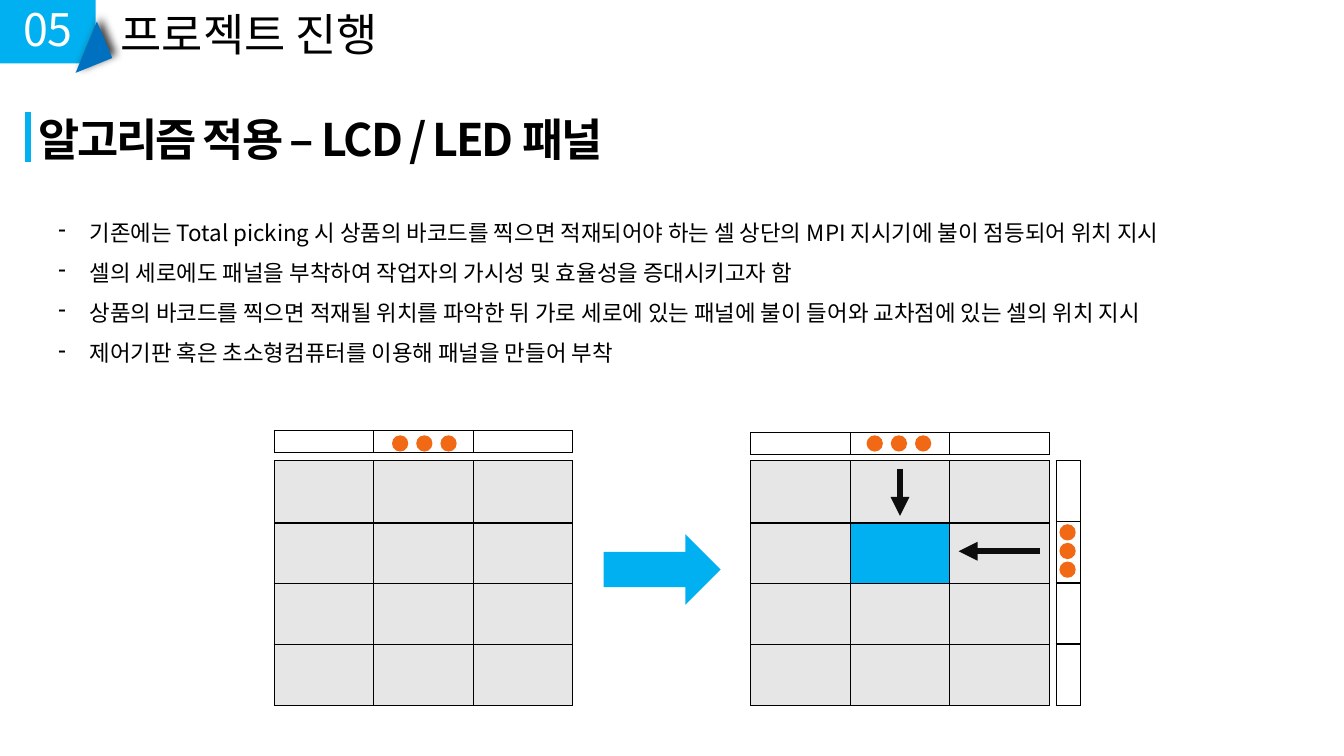
from lxml.etree import SubElement
from pptx import Presentation
from pptx.dml.color import RGBColor
from pptx.enum.shapes import MSO_CONNECTOR, MSO_SHAPE
from pptx.enum.text import MSO_ANCHOR, MSO_AUTO_SIZE, PP_ALIGN
from pptx.oxml.ns import qn
from pptx.util import Cm, Pt

FONT = "Noto Sans CJK KR"
COLORS = {
    "sky": "00B0F0", "blue": "0070C0", "orange": "F16915", "cell": "E7E6E6",
    "black": "000000", "arrow": "0D0D0D", "white": "FFFFFF", "shadow": "404040",
}
BULLETS = [
    "기존에는 Total picking 시 상품의 바코드를 찍으면 적재되어야 하는 셀 상단의 MPI 지시기에 불이 점등되어 위치 지시",
    "셀의 세로에도 패널을 부착하여 작업자의 가시성 및 효율성을 증대시키고자 함",
    "상품의 바코드를 찍으면 적재될 위치를 파악한 뒤 가로 세로에 있는 패널에 불이 들어와 교차점에 있는 셀의 위치 지시",
    "제어기판 혹은 초소형컴퓨터를 이용해 패널을 만들어 부착",
]
COLUMN_WIDTHS = [2.51] * 3
SHELF_ROWS = [1.57] + [1.53] * 3
SHELF_TOP = 11.61
STRIP_HEIGHT = 0.56
DOT_SIZE = 0.41


def color(name):
    return RGBColor.from_string(COLORS[name])


def place(shape, left, top, width, height):
    shape.left, shape.top = Cm(left), Cm(top)
    shape.width, shape.height = Cm(width), Cm(height)


def format_run(run, size, color_name):
    run.font.size = Pt(size)
    run.font.name = FONT
    run.font.color.rgb = color(color_name)
    SubElement(run.font._element, qn("a:ea")).set("typeface", FONT)


def add_text(slide, text, box, size, color_name="black", align=PP_ALIGN.LEFT):
    shape = slide.shapes.add_textbox(*map(Cm, box))
    text_frame = shape.text_frame
    text_frame.word_wrap = True
    text_frame.auto_size = MSO_AUTO_SIZE.SHAPE_TO_FIT_TEXT
    text_frame.text = text
    for paragraph in text_frame.paragraphs:
        paragraph.alignment = align
        format_run(paragraph.runs[0], size, color_name)
    return shape


def add_title(slide, text, box):
    title = slide.shapes.title
    place(title, *box)
    text_frame = title.text_frame
    text_frame.text = text
    text_frame.word_wrap = True
    text_frame.auto_size = MSO_AUTO_SIZE.SHAPE_TO_FIT_TEXT
    text_frame.vertical_anchor = MSO_ANCHOR.TOP
    paragraph = text_frame.paragraphs[0]
    paragraph.alignment = PP_ALIGN.LEFT
    run = paragraph.runs[0]
    format_run(run, 32, "black")
    run.font.bold = True
    run.font._element.set("spc", "-150")


def add_bullets(slide, lines, box):
    shape = add_text(slide, "\n".join(lines), box, 16)
    for paragraph in shape.text_frame.paragraphs:
        paragraph.line_spacing = 1.5
        properties = paragraph._p.get_or_add_pPr()
        properties.set("marL", str(Cm(0.79)))
        properties.set("indent", str(Cm(-0.79)))
        SubElement(properties, qn("a:buChar")).set("char", "-")


def add_filled_shape(shapes, kind, box, color_name):
    shape = shapes.add_shape(kind, *map(Cm, box))
    shape.shadow.inherit = False
    shape.fill.solid()
    shape.fill.fore_color.rgb = color(color_name)
    shape.line.fill.background()
    return shape


def add_corner_triangle(slide):
    triangle = add_filled_shape(slide.shapes, MSO_SHAPE.ISOSCELES_TRIANGLE,
                                (1.8, 0.97, 1.4, 0.71), "blue")
    triangle.rotation = 112.5
    effects = triangle._element.spPr.find(qn("a:effectLst"))
    shadow = SubElement(effects, qn("a:outerShdw"), blurRad=str(Pt(6)),
                        dist=str(Pt(4)), dir="18900000", rotWithShape="0")
    tint = SubElement(shadow, qn("a:srgbClr"), val=COLORS["shadow"])
    SubElement(tint, qn("a:alpha"), val="96000")


def add_line(slide, start, end, color_name, arrow=False):
    line = slide.shapes.add_connector(MSO_CONNECTOR.STRAIGHT, *map(Cm, start + end))
    line.line.color.rgb = color(color_name)
    line.line.width = Pt(4.5)
    if arrow:
        SubElement(line.line._get_or_add_ln(), qn("a:tailEnd"), type="triangle")
    SubElement(line._element.spPr, qn("a:effectLst"))


def format_cell(cell, fill_name):
    cell.margin_left = cell.margin_right = cell.margin_top = cell.margin_bottom = 0
    SubElement(cell.text_frame.paragraphs[0]._p, qn("a:endParaRPr"), sz="800")
    properties = cell._tc.get_or_add_tcPr()
    for side in ("lnL", "lnR", "lnT", "lnB"):
        border = SubElement(properties, qn(f"a:{side}"), w=str(Pt(1)))
        fill = SubElement(border, qn("a:solidFill"))
        SubElement(fill, qn("a:srgbClr"), val=COLORS["black"])
    if fill_name:
        cell.fill.solid()
        cell.fill.fore_color.rgb = color(fill_name)
    else:
        cell.fill.background()


def add_grid(slide, left, top, widths, heights, fill_name=None):
    frame = slide.shapes.add_table(len(heights), len(widths), Cm(left), Cm(top),
                                   Cm(sum(widths)), Cm(sum(heights)))
    table = frame.table
    table.first_row = table.horz_banding = False
    for column, width in zip(table.columns, widths):
        column.width = Cm(width)
    for row, height in zip(table.rows, heights):
        row.height = Cm(height)
    for cell in table.iter_cells():
        format_cell(cell, fill_name)
    return table


def add_shelf(slide, left, strip_top):
    add_grid(slide, left, strip_top, COLUMN_WIDTHS, [STRIP_HEIGHT])
    return add_grid(slide, left, SHELF_TOP, COLUMN_WIDTHS, SHELF_ROWS, "cell")


def add_lights(slide, left, top, step_x=0.0, step_y=0.0):
    group = slide.shapes.add_group_shape()
    for index in range(3):
        box = (left + index * step_x, top + index * step_y, DOT_SIZE, DOT_SIZE)
        add_filled_shape(group.shapes, MSO_SHAPE.OVAL, box, "orange")


def main():
    presentation = Presentation()
    presentation.slide_width, presentation.slide_height = Cm(33.87), Cm(19.05)
    slide = presentation.slides.add_slide(presentation.slide_layouts[5])

    add_filled_shape(slide.shapes, MSO_SHAPE.RECTANGLE, (0, 0, 2.41, 1.6), "sky")
    add_text(slide, "05", (0.23, -0.08, 1.96, 1.63), 32, "white", PP_ALIGN.CENTER)
    add_text(slide, "프로젝트 진행", (2.79, 0.05, 11.33, 1.63), 32)
    add_corner_triangle(slide)
    add_line(slide, (0.71, 2.82), (0.71, 4.09), "sky")
    add_title(slide, "알고리즘 적용 – LCD / LED 패널", (0.71, 2.69, 18.16, 1.63))
    add_bullets(slide, BULLETS, (1.22, 5.05, 31.95, 4.37))

    add_shelf(slide, 6.91, 10.85)
    add_lights(slide, 9.88, 10.97, step_x=0.61)
    add_filled_shape(slide.shapes, MSO_SHAPE.RIGHT_ARROW, (15.21, 13.46, 2.95, 1.78), "sky")

    target_shelf = add_shelf(slide, 18.92, 10.9)
    target_shelf.cell(1, 1).fill.fore_color.rgb = color("sky")
    add_grid(slide, 26.62, SHELF_TOP, [0.6], [1.54] * 4)
    add_lights(slide, 21.84, 10.97, step_x=0.61)
    add_lights(slide, 26.7, 13.21, step_y=0.47)
    add_line(slide, (22.68, 11.81), (22.68, 13.0), "arrow", arrow=True)
    add_line(slide, (26.21, 13.89), (24.16, 13.89), "arrow", arrow=True)

    presentation.save("out.pptx")


if __name__ == "__main__":
    main()
